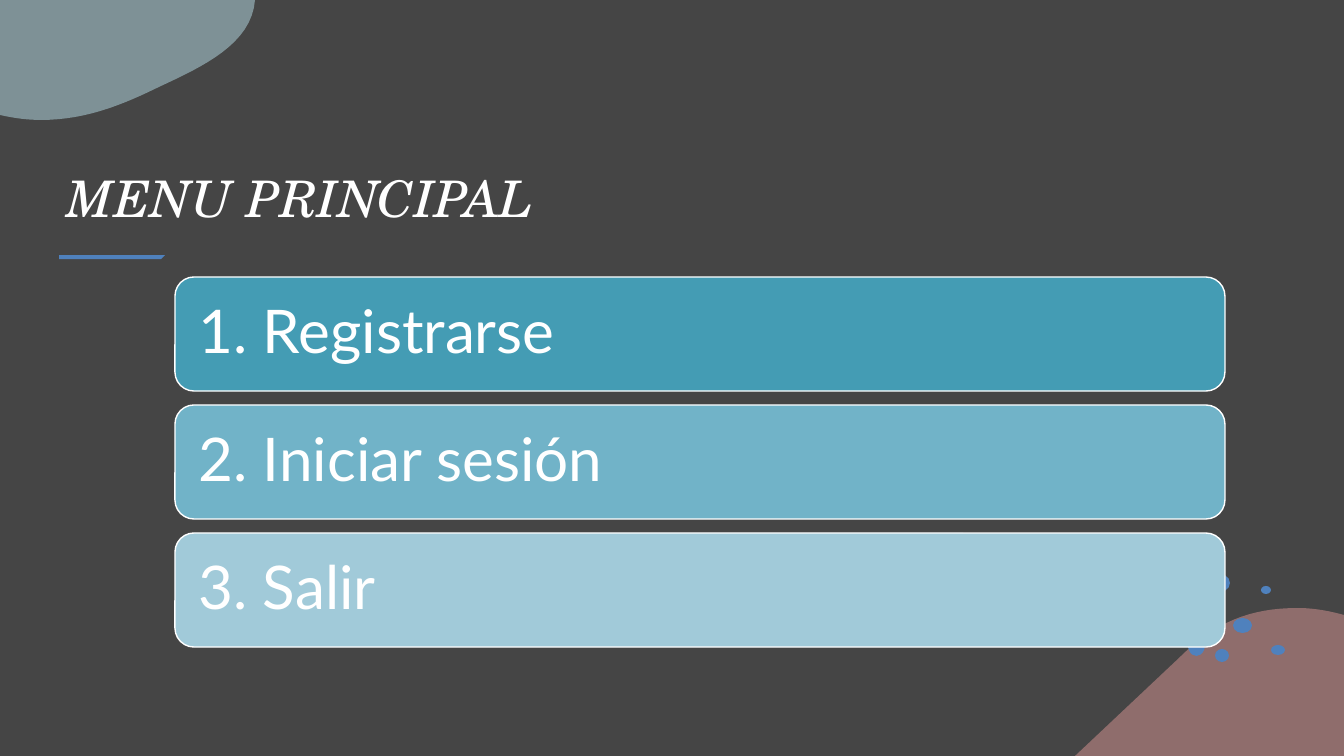
"""Build the main menu slide with three numbered options."""
import pptx
import pptx.util
import pptx.dml.color
import pptx.enum.shapes
import pptx.enum.text
import pptx.oxml
import pptx.oxml.ns

PX = 914400 / 100.8
SLIDE = (1344, 756)
BACKGROUND, WHITE, BLUE = "454545", "FFFFFF", "4F81BD"
CURVE_STEPS = 16

TITLE = "MENU PRINCIPAL"
TITLE_BOX = (57, 87, 1111, 146)
TITLE_FONT = {"name": "TeX Gyre Schola", "size": pptx.util.Pt(36), "italic": True}

OPTIONS = [("1. Registrarse", "449CB4"), ("2. Iniciar sesión", "71B3C8"), ("3. Salir", "A1CAD9")]
OPTION_BOX = (175, 277, 1050, 114)
OPTION_PITCH = 128
OPTION_INSET = 18
OPTION_FONT = {"name": "Lato", "size": pptx.util.Pt(43)}

PINK_HILL = [(1344, 756), (1075, 756), (1178, 659),
             (1215, 622, 1250, 608, 1298, 608), (1314, 608, 1330, 611, 1344, 615)]
BLUE_CLOUD = [(0, 0), (255, 0), (252, 44, 202, 67, 159, 87),
              (124, 104, 87, 120, 41, 120), (27, 120, 13, 118, 0, 115)]
BRUSH_STROKE = [(59, 255), (165, 255), (161, 259), (59, 259)]
DOTS = [(1215, 649, 14, 13), (1188, 634, 17, 22), (1271, 645, 14, 10),
        (1210, 574, 20, 18), (1261, 586, 10, 8), (1233, 618, 19, 15)]
BLOBS = [(PINK_HILL, "D99694", 50), (BLUE_CLOUD, "B7DEE8", 50), (BRUSH_STROKE, BLUE, 100)]


def emu(px):
    return round(px * PX)


def color(value):
    return pptx.dml.color.RGBColor.from_string(value)


def set_fill(fill, value):
    fill.solid()
    fill.fore_color.rgb = color(value)


def apply(target, formats):
    for name, value in formats.items():
        setattr(target, name, value)


def flatten(outline):
    points = [outline[0]]
    for segment in outline[1:]:
        if len(segment) == 2:
            points.append(segment)
            continue
        corners = (points[-1], segment[:2], segment[2:4], segment[4:])
        for step in range(1, CURVE_STEPS + 1):
            t = step / CURVE_STEPS
            weights = ((1 - t) ** 3, 3 * t * (1 - t) ** 2, 3 * t * t * (1 - t), t ** 3)
            points.append(tuple(sum(w * c[axis] for w, c in zip(weights, corners))
                                for axis in (0, 1)))
    return [(emu(x), emu(y)) for x, y in points]


def paint(shape, fill):
    shape.shadow.inherit = False
    shape.line.fill.background()
    set_fill(shape.fill, fill)


def add_blob(slide, outline, fill, opacity):
    first, *rest = flatten(outline)
    builder = slide.shapes.build_freeform(*first, scale=1.0)
    builder.add_line_segments(rest, close=True)
    blob = builder.convert_to_shape()
    paint(blob, fill)
    if opacity < 100:
        tint = blob.element.spPr.find(".//" + pptx.oxml.ns.qn("a:srgbClr"))
        alpha = pptx.oxml.parse_xml(
            f'<a:alpha {pptx.oxml.ns.nsdecls("a")} val="{opacity * 1000}"/>')
        tint.append(alpha)


def add_box(slide, preset, box):
    return slide.shapes.add_shape(preset, *map(emu, box))


def write(shape, text, font, frame_formats, paragraph_formats):
    frame = shape.text_frame
    apply(frame, {"word_wrap": True, **frame_formats})
    paragraph = frame.paragraphs[0]
    apply(paragraph, {"alignment": pptx.enum.text.PP_ALIGN.LEFT, **paragraph_formats})
    run = paragraph.add_run()
    run.text = text
    apply(run.font, font)
    run.font.color.rgb = color(WHITE)


def add_option(slide, index, text, fill):
    left, top, width, height = OPTION_BOX
    option = add_box(slide, pptx.enum.shapes.MSO_SHAPE.ROUNDED_RECTANGLE,
                     (left, top + index * OPTION_PITCH, width, height))
    paint(option, fill)
    option.line.color.rgb = color(WHITE)
    option.line.width = pptx.util.Pt(1)
    sides = ("left", "top", "right", "bottom")
    insets = {f"margin_{side}": emu(OPTION_INSET) for side in sides}
    write(option, text, OPTION_FONT,
          {"vertical_anchor": pptx.enum.text.MSO_ANCHOR.MIDDLE, **insets},
          {"line_spacing": 0.9})


def main():
    deck = pptx.Presentation()
    deck.slide_width, deck.slide_height = map(emu, SLIDE)
    slide = deck.slides.add_slide(deck.slide_layouts[6])
    set_fill(slide.background.fill, BACKGROUND)
    for blob in BLOBS:
        add_blob(slide, *blob)
    for dot in DOTS:
        paint(add_box(slide, pptx.enum.shapes.MSO_SHAPE.OVAL, dot), BLUE)
    for index, option in enumerate(OPTIONS):
        add_option(slide, index, *option)
    title = slide.shapes.add_textbox(*map(emu, TITLE_BOX))
    write(title, TITLE, TITLE_FONT,
          {"vertical_anchor": pptx.enum.text.MSO_ANCHOR.BOTTOM}, {})
    deck.save("out.pptx")


if __name__ == "__main__":
    main()
